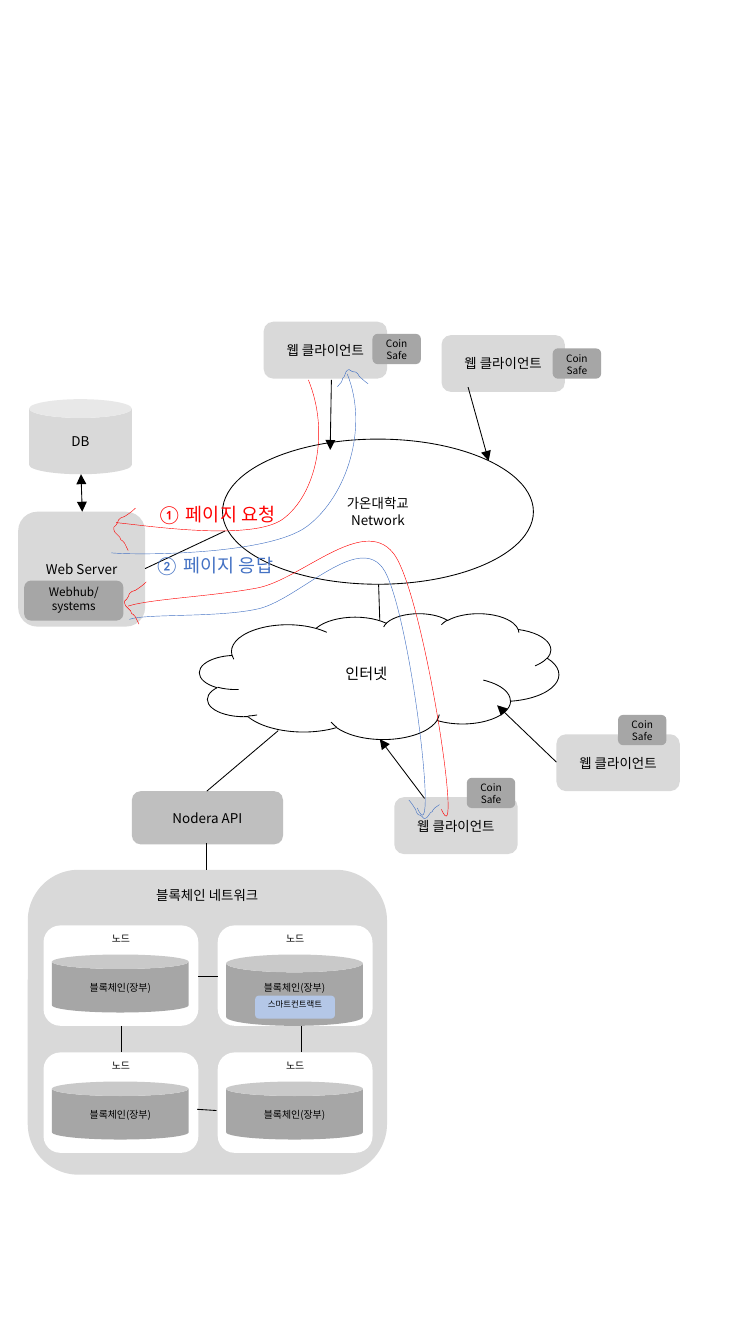
from lxml.etree import SubElement
from pptx import Presentation
from pptx.dml.color import RGBColor
from pptx.enum.shapes import MSO_CONNECTOR, MSO_SHAPE
from pptx.enum.text import MSO_ANCHOR, MSO_AUTO_SIZE, PP_ALIGN
from pptx.oxml.ns import qn
from pptx.util import Inches, Pt

COLS, ROWS = 625, 1111
CELL = Inches(0.01)
FONT = "Noto Sans CJK KR"
BLACK, WHITE, RED, BLUE = "000000", "FFFFFF", "FF0000", "4472C4"
LIGHT, MID, DARK, PALE_BLUE = "D9D9D9", "BFBFBF", "A6A6A6", "B4C7E7"
ROUND, CAN = MSO_SHAPE.ROUNDED_RECTANGLE, MSO_SHAPE.CAN
BARB = [(18, 0), (15, 3), (12, 5), (9, 7), (8, 8), (7, 7), (6, 8), (2, 11), (5, 10), (2, 14),
        (1, 15), (1, 15), (0, 16), (0, 17), (0, 19), (1, 20), (2, 21), (5, 24), (5, 24),
        (7, 29), (5, 24), (9, 29), (10, 31), (12, 35), (12, 35)]

prs = Presentation()
prs.slide_width, prs.slide_height = COLS * CELL, ROWS * CELL
s = prs.slides.add_slide(prs.slide_layouts[6])


def grid(*cells):
    return [round(c * CELL) for c in cells]


def rgb(value):
    return RGBColor.from_string(value)


def write(tf, text, size=8, color=BLACK, font=FONT, align=PP_ALIGN.CENTER):
    tf.word_wrap = True
    for i, line in enumerate(text.split("\n")):
        p = tf.paragraphs[0] if i == 0 else tf.add_paragraph()
        p.alignment = align
        r = p.add_run()
        r.text = line
        r.font.size = Pt(size)
        r.font.color.rgb = rgb(color)
        r.font.name = font
        SubElement(r.font._element, qn("a:ea"), typeface=font)


def stroke(line, color, width):
    line.color.rgb = rgb(color)
    line.width = Pt(width)


def block(kind, box, text, fill=LIGHT, outline=False, top=False, bottom=2, **fmt):
    sp = s.shapes.add_shape(kind, *grid(*box))
    sp.shadow.inherit = False
    sp.fill.solid()
    sp.fill.fore_color.rgb = rgb(fill)
    if outline:
        stroke(sp.line, BLACK, 0.5)
    else:
        sp.line.fill.background()
    tf = sp.text_frame
    tf.margin_left, tf.margin_top, tf.margin_right, tf.margin_bottom = grid(4, 2, 4, bottom)
    tf.vertical_anchor = MSO_ANCHOR.TOP if top else MSO_ANCHOR.MIDDLE
    write(tf, text, **fmt)


def link(start, end, *arrows):
    cx = s.shapes.add_connector(MSO_CONNECTOR.STRAIGHT, *grid(*start, *end))
    stroke(cx.line, BLACK, 0.5)
    ln = cx.line._get_or_add_ln()
    for arrow in arrows:
        SubElement(ln, qn(f"a:{arrow}"), type="triangle")
    SubElement(cx._element.spPr, qn("a:effectLst"))


def trace(box, points, color, turn=0):
    x, y, w, h = box
    fb = s.shapes.build_freeform(*grid(x, y), scale=1.0)
    fb.add_line_segments([grid(x + w, y + h)], close=False)
    sp = fb.convert_to_shape()
    sp.shadow.inherit = False
    sp.fill.background()
    stroke(sp.line, color, 0.25)
    sp.rotation = turn
    outline = next(sp._element.iter(qn("a:path")))
    for old in list(outline):
        outline.remove(old)
    for i, (px, py) in enumerate(points):
        if i == 0:
            step = SubElement(outline, qn("a:moveTo"))
        elif i % 3 == 1:
            step = SubElement(outline, qn("a:cubicBezTo"))
        left, top = grid(px - x, py - y)
        SubElement(step, qn("a:pt"), x=str(left), y=str(top))


def barb(box, color, turn=0):
    x, y, w, h = box
    trace(box, [(x + u * w / 18, y + v * h / 35) for u, v in BARB], color, turn)


def caption(box, text, color):
    sp = s.shapes.add_textbox(*grid(*box))
    write(sp.text_frame, text, size=11, color=color, font="Calibri", align=PP_ALIGN.LEFT)
    sp.text_frame.auto_size = MSO_AUTO_SIZE.SHAPE_TO_FIT_TEXT


def client(box, dx, dy):
    x, y, w, h = box
    block(ROUND, box, "웹 클라이언트")
    block(ROUND, (x + dx, y + dy, 40, 25), "Coin\nSafe", DARK, top=True, size=6)


def server(box):
    x, y, w, h = box
    block(ROUND, box, "Web Server")
    block(ROUND, (x + 5, y + 57, 82, 33), "Webhub/\nsystems", DARK, top=True, size=7)
    block(CAN, (x + 9, y - 93, 85, 62), "DB")
    link((x + 52, y - 31), (x + 53, y), "headEnd", "tailEnd")


def node(box, contract=False):
    x, y, w, h = box
    block(ROUND, box, "노드", WHITE, top=True, size=5.9)
    block(CAN, (x + 7, y + 24, 113, 59 if contract else 48), "블록체인(장부)", DARK,
          bottom=14 if contract else 2, size=5.9)
    if contract:
        block(ROUND, (x + 31, y + 58, 66, 19), "스마트컨트랙트", PALE_BLUE, top=True, size=5)


def blockchain(box):
    x, y, w, h = box
    block(ROUND, box, "블록체인 네트워크", top=True)
    left, top, node_w, node_h, step_x, step_y = x + 13, y + 46, 128, 83, 144, 105
    for row in range(2):
        for col in range(2):
            node((left + col * step_x, top + row * step_y, node_w, node_h),
                 contract=(row, col) == (0, 1))
    link((left + 128, top + 42), (left + 144, top + 42))
    link((left + 127, top + 152), (left + 143, top + 153))
    for cx in (left + 64, left + 213):
        link((cx, top + node_h), (cx, top + step_y))


def networks(box):
    x, y, w, h = box
    block(MSO_SHAPE.CLOUD, (x, y + 144, w, 104), "인터넷", WHITE, outline=True, size=9)
    block(MSO_SHAPE.OVAL, (x + 19, y, 257, 120), "가온대학교\nNetwork", WHITE, outline=True)
    link((x + 148, y + 120), (x + 149, y + 150))


def page_flow():
    for box, color, points in [
        ((92, 309, 202, 149), BLUE, [(287, 309), (305, 353), (287, 410), (254, 435),
                                     (222, 459), (113, 459), (92, 457)]),
        ((96, 314, 167, 125), RED, [(255, 314), (273, 358), (261, 409), (234, 429),
                                    (208, 448), (118, 434), (96, 432)]),
        ((106, 447, 264, 228), RED, [(365, 669), (384, 713), (350, 487), (325, 457), (300, 426),
                                     (249, 479), (213, 486), (176, 493), (125, 495), (106, 501)]),
        ((107, 461, 245, 213), BLUE, [(345, 668), (364, 712), (338, 497), (316, 469), (295, 442),
                                      (248, 494), (215, 503), (182, 511), (122, 507), (107, 512)]),
    ]:
        trace(box, points, color)
    barb((94, 420, 18, 35), RED)
    barb((103, 481, 18, 35), RED)
    barb((282, 301, 16, 25), BLUE, 72.2)
    barb((343, 656, 16, 25), BLUE, 266.4)
    caption((120, 411, 148, 29), "① 페이지 요청", RED)
    caption((118, 453, 148, 29), "② 페이지 응답", BLUE)


networks((165, 363, 297, 248))
block(ROUND, (109, 654, 125, 44), "Nodera API", MID)
server((15, 423, 105, 95))
for x, y, dx, dy in [(326, 659, 60, -16), (460, 607, 51, -16), (365, 277, 92, 11), (218, 266, 90, 10)]:
    client((x, y, 102, 47), dx, dy)
for start, end in [((351, 660), (314, 611)), ((460, 630), (411, 583)),
                   ((274, 314), (273, 372)), ((387, 320), (404, 381))]:
    link(start, end, "tailEnd")
link((230, 604), (171, 654))
link((120, 470), (186, 439))
page_flow()
blockchain((23, 719, 297, 252))
link((171, 697), (171, 719))
prs.save("out.pptx")
